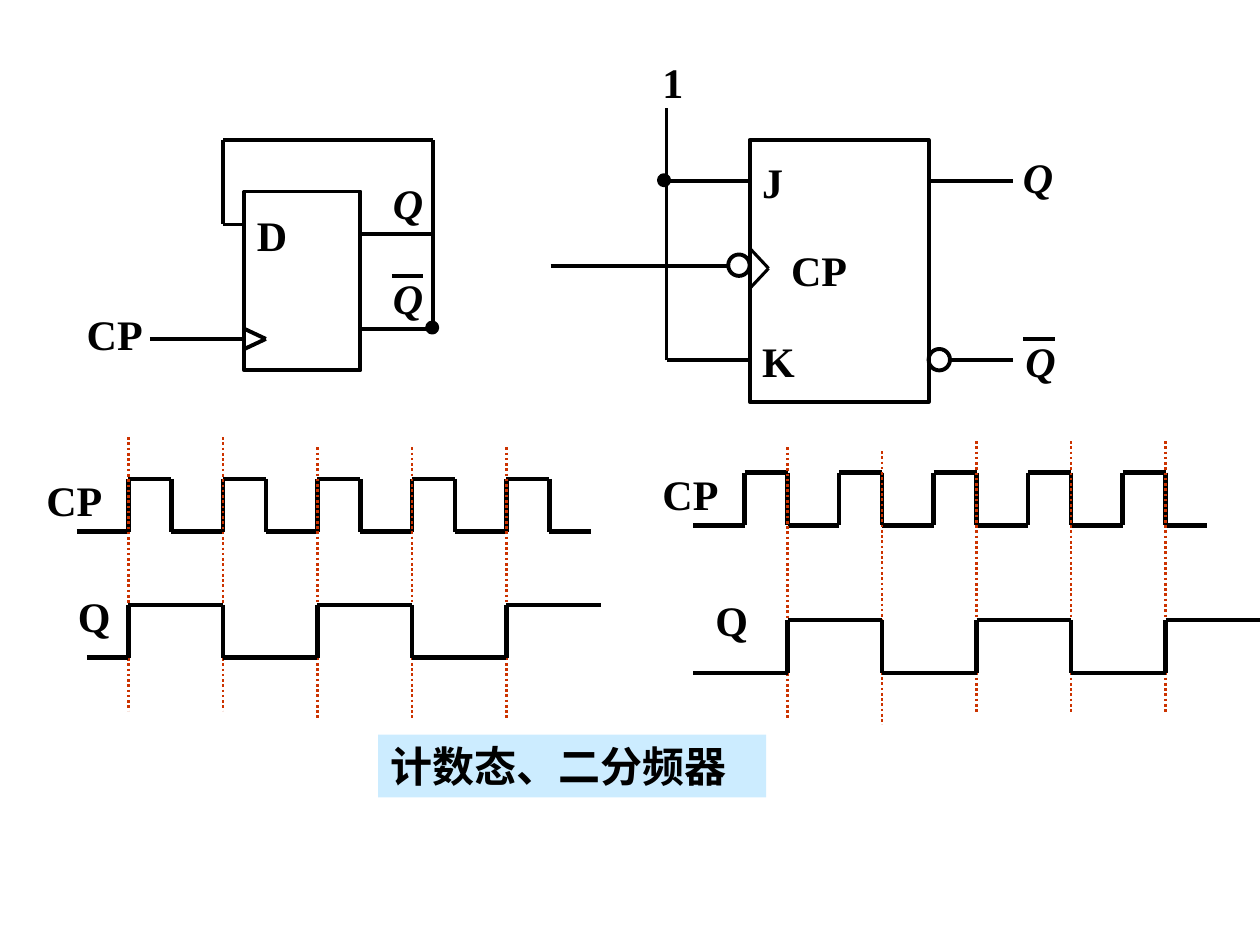
from lxml import etree
from pptx import Presentation
from pptx import util as u
from pptx.dml.color import RGBColor
from pptx.enum import dml, shapes, text
from pptx.oxml.ns import qn

COLORS = {"ink": "000000", "guide": "CC3300", "caption": "CCECFF"}
FONT = {"name": "Times New Roman", "size": u.Pt(24), "bold": True}
FRAME = {
    "margin_left": u.Inches(0.1),
    "margin_right": u.Inches(0.1),
    "margin_top": u.Inches(0.05),
    "margin_bottom": u.Inches(0.05),
    "vertical_anchor": text.MSO_ANCHOR.TOP,
    "auto_size": text.MSO_AUTO_SIZE.SHAPE_TO_FIT_TEXT,
}
PERIOD = 0.75
PULSES = 5
SWING = 0.42
GUIDE_LENGTH = 2.17
BUBBLE = 0.17
DOT = 0.08


def rgb(name):
    return RGBColor.from_string(COLORS[name])


def inches(*values):
    return [u.Inches(v) for v in values]


def add_line(s, start, end, width=2.25, color="ink", dash=None):
    c = s.shapes.add_connector(shapes.MSO_CONNECTOR.STRAIGHT, *inches(*start, *end))
    c.line.width = u.Pt(width)
    c.line.color.rgb = rgb(color)
    if dash:
        c.line.dash_style = dash
    etree.SubElement(c._element.spPr, qn("a:effectLst"))


def add_path(s, points, width=2.25):
    for start, end in zip(points, points[1:]):
        add_line(s, start, end, width)


def add_outline(s, kind, box, fill=None, line="ink"):
    sp = s.shapes.add_shape(kind, *inches(*box))
    sp.shadow.inherit = False
    if fill:
        sp.fill.solid()
        sp.fill.fore_color.rgb = rgb(fill)
    else:
        sp.fill.background()
    if line:
        sp.line.color.rgb = rgb(line)
        sp.line.width = u.Pt(2.25)
    else:
        sp.line.fill.background()
    return sp


def set_text(sp, words, wrap=True, italic=False):
    tf = sp.text_frame
    for name, value in {**FRAME, "word_wrap": wrap}.items():
        setattr(tf, name, value)
    p = tf.paragraphs[0]
    p.alignment = text.PP_ALIGN.LEFT
    r = p.add_run()
    r.text = words
    for name, value in {**FONT, "italic": italic}.items():
        setattr(r.font, name, value)
    r.font.color.rgb = rgb("ink")


def add_label(s, words, x, y, width, wrap=False, italic=False):
    sp = s.shapes.add_textbox(*inches(x, y, width, 0.5))
    set_text(sp, words, wrap, italic)


def add_dot(s, x, y):
    add_outline(s, shapes.MSO_SHAPE.OVAL, (x, y, DOT, DOT), fill="ink")


def add_bubble(s, x, y):
    add_outline(s, shapes.MSO_SHAPE.OVAL, (x, y - 0.09, BUBBLE, BUBBLE))


def add_timing(s, x, y, edge, q_start, q_drop, guide_tops, q_label):
    low = y + SWING
    clock = [(x, low)]
    for i in range(PULSES):
        rise = x + 0.41 + i * PERIOD
        fall = rise + 0.34
        clock += [(rise, low), (rise, y), (fall, y), (fall, low)]
    clock.append((x + 4.08, low))
    add_path(s, clock, 2.5)

    edges = [x + edge + i * PERIOD for i in range(PULSES)]
    for guide, top in zip(edges, guide_tops):
        add_line(s, (guide, y + top), (guide, y + top + GUIDE_LENGTH),
                 1.5, "guide", dml.MSO_LINE.ROUND_DOT)

    levels = [y + q_drop + SWING, y + q_drop]
    output = [(x + q_start, levels[0])]
    for i, toggle in enumerate(edges):
        output += [(toggle, levels[i % 2]), (toggle, levels[1 - i % 2])]
    output.append((edges[-1] + PERIOD, levels[1]))
    add_path(s, output, 2.5)

    add_label(s, "CP", x - 0.34, y - 0.08, 0.67, wrap=True)
    add_label(s, "Q", x + q_label[0], y + q_label[1], 0.58, wrap=True)


def add_caption(s, x, y, w, h):
    sp = add_outline(s, shapes.MSO_SHAPE.RECTANGLE, (x, y, w, h), "caption", None)
    set_text(sp, "计数态、二分频器")


def add_jk_flip_flop(s, x, y, w, h):
    right = x + w
    rail = x - 0.66
    j, clock, k = y + 0.33, y + 1, y + 1.75

    add_line(s, (rail, k), (rail, y - 0.25))
    add_label(s, "1", rail - 0.13, y - 0.71, 0.36)
    add_dot(s, rail - 0.06, j - 0.05)

    add_outline(s, shapes.MSO_SHAPE.RECTANGLE, (x, y, w, h))
    for pin in (j, k):
        add_line(s, (rail, pin), (x, pin))
    add_line(s, (x - 1.58, clock), (x - BUBBLE, clock))
    add_bubble(s, x - BUBBLE, clock)
    add_path(s, [(x, y + 0.86), (x + 0.15, y + 1.02), (x, y + 1.18)], 1.75)

    add_line(s, (right, j), (right + 0.67, j))
    add_bubble(s, right, k)
    add_line(s, (right + BUBBLE, k), (right + 0.67, k))
    add_line(s, (right + 0.75, k - BUBBLE), (right + 1, k - BUBBLE))

    add_label(s, "J", x, y + 0.08, 0.36)
    add_label(s, "K", x, y + 1.5, 0.46)
    add_label(s, "CP", x + 0.23, y + 0.78, 0.67, wrap=True)
    add_label(s, "Q", right + 0.65, y + 0.04, 0.44, italic=True)
    add_label(s, "Q", right + 0.67, y + 1.5, 0.44, italic=True)


def add_d_flip_flop(s, x, y, w, h):
    right = x + w
    rail = right + 0.58
    loop = x - 0.17
    q, q_bar, clock = y + 0.34, y + 1.09, y + 1.17

    add_path(s, [(rail, q_bar), (rail, y - 0.41), (loop, y - 0.41), (loop, y + 0.26)])
    add_line(s, (loop, y + 0.26), (x, y + 0.26), 1.75)
    add_dot(s, rail - 0.05, q_bar - 0.05)

    add_outline(s, shapes.MSO_SHAPE.RECTANGLE, (x, y, w, h))
    for pin in (q, q_bar):
        add_line(s, (right, pin), (rail, pin))
    add_line(s, (x - 0.75, clock), (x, clock))
    add_path(s, [(x, clock - 0.08), (x + 0.17, clock), (x, clock + 0.08)])
    add_line(s, (right + 0.25, y + 0.67), (right + 0.5, y + 0.67))

    add_label(s, "D", x, y + 0.09, 0.44)
    for pin in (q, q_bar):
        add_label(s, "Q", right + 0.16, pin - 0.5, 0.44, italic=True)
    add_label(s, "CP", x - 1.35, y + 0.88, 0.67, wrap=True)


def main():
    prs = Presentation()
    prs.slide_width, prs.slide_height = inches(10, 7.5)
    s = prs.slides.add_slide(prs.slide_layouts[6])
    add_timing(s, 0.61, 3.8, edge=0.41, q_start=0.08, q_drop=1,
               guide_tops=[-0.33] * 2 + [-0.25] * 3, q_label=(-0.09, 0.84))
    add_timing(s, 5.5, 3.75, edge=0.75, q_start=0, q_drop=1.17,
               guide_tops=[-0.2, -0.17] + [-0.25] * 3, q_label=(0.08, 0.92))
    add_caption(s, 3, 5.83, 3.08, 0.5)
    add_jk_flip_flop(s, 5.95, 1.11, 1.42, 2.08)
    add_d_flip_flop(s, 1.94, 1.52, 0.92, 1.42)
    prs.save("out.pptx")


if __name__ == "__main__":
    main()
